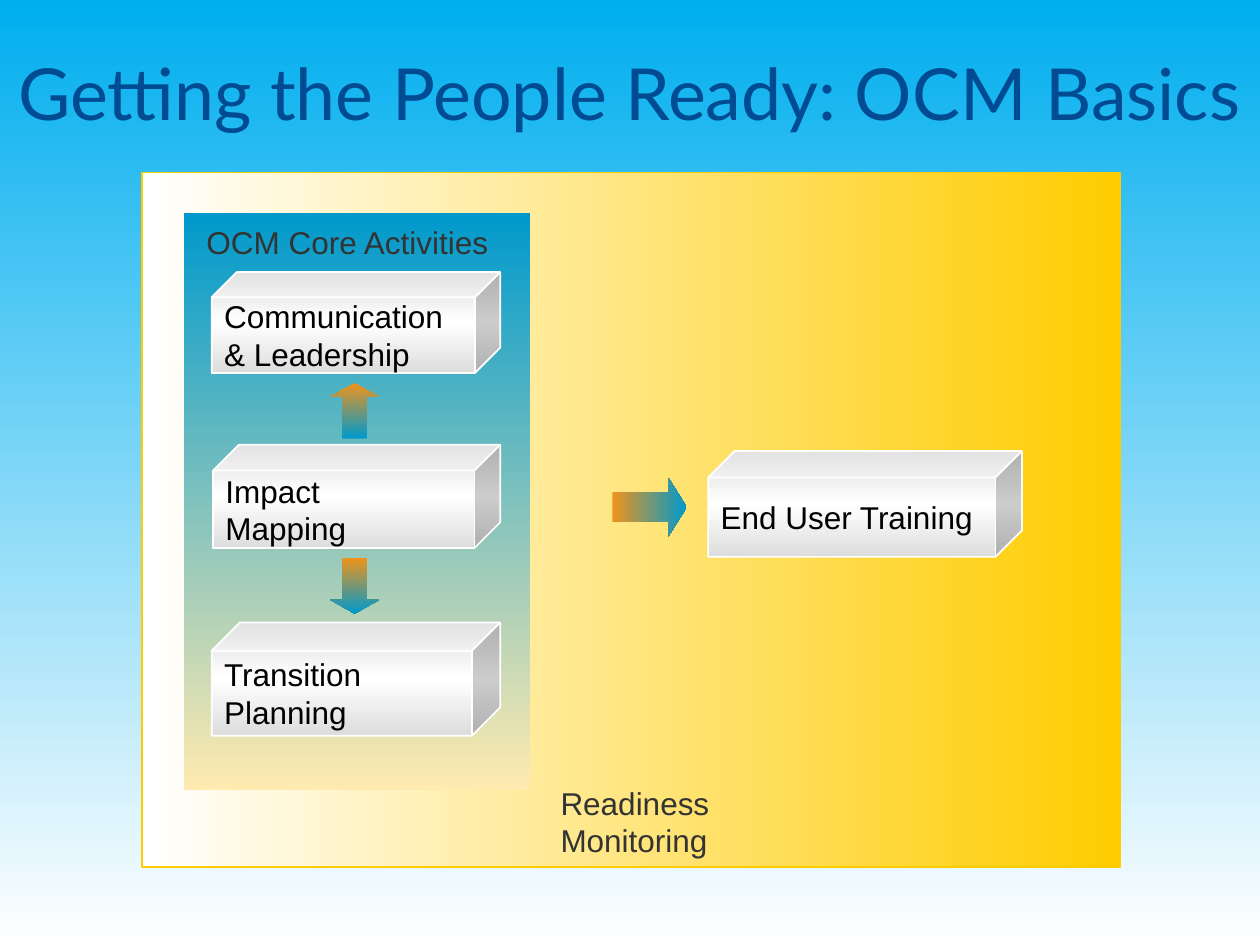
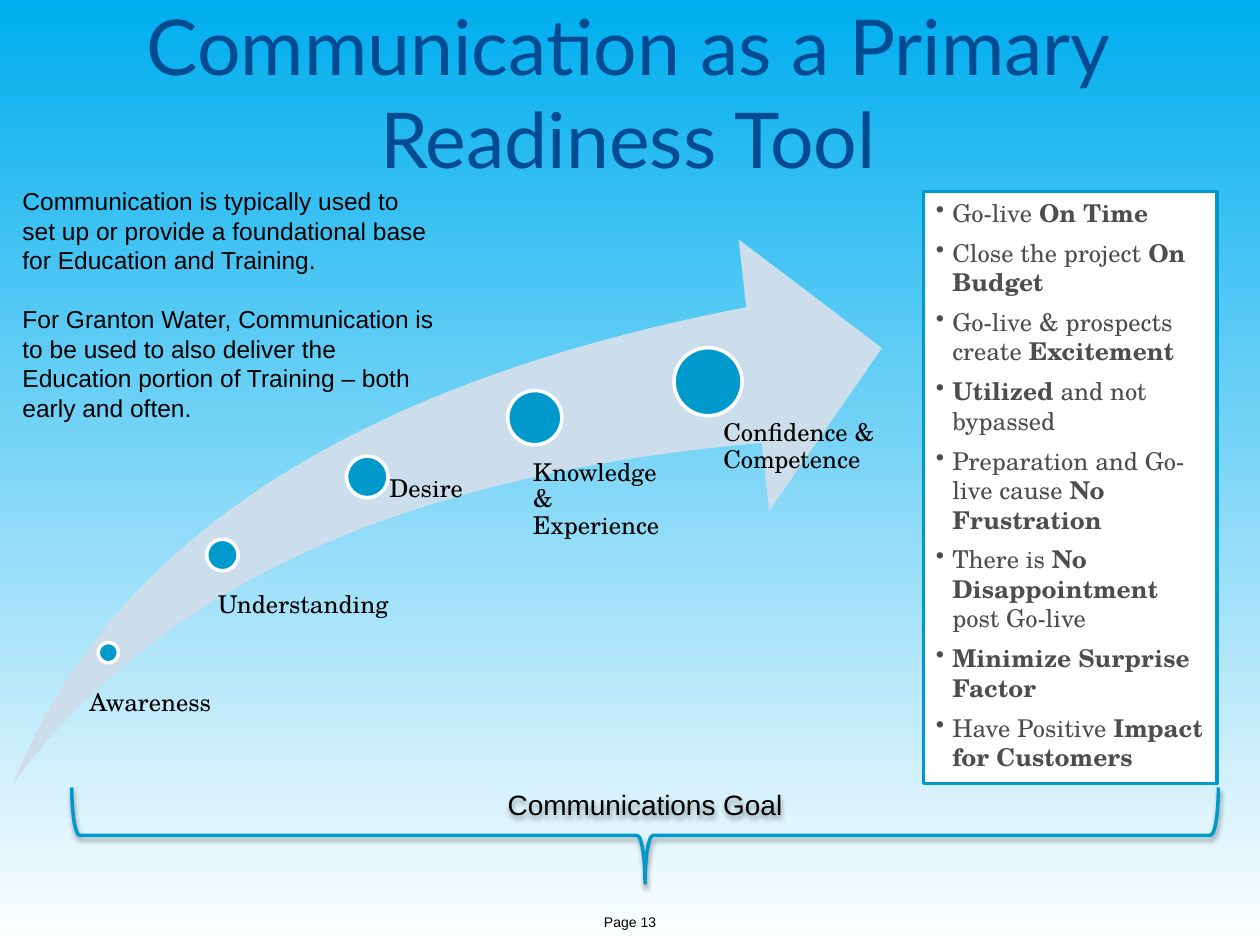
import copy
from dataclasses import dataclass

import pptx
import pptx.dml.color
import pptx.enum.shapes
import pptx.enum.text
import pptx.oxml
import pptx.oxml.ns
import pptx.util
from pptx.util import Inches

SHAPE = pptx.enum.shapes.MSO_SHAPE
ALIGN = pptx.enum.text.PP_ALIGN
ANCHOR = pptx.enum.text.MSO_ANCHOR
qn = pptx.oxml.ns.qn

TEXT_INSETS = (0.1, 0.05, 0.1, 0.05)
NO_INSETS = (0, 0, 0, 0)


@dataclass(frozen=True)
class Theme:
    sky: str = "00AEEF"
    white: str = "FFFFFF"
    black: str = "000000"
    navy: str = "004B91"
    blue: str = "0099CC"
    gold: str = "FFCC00"
    cream: str = "FFEAAF"
    orange: str = "EE941C"
    silver: str = "DDDDDD"
    pale_blue: str = "CCDEEC"
    charcoal: str = "333333"
    grey: str = "4D4D4D"
    title_font: str = "Lato"
    body_font: str = "Arial"
    serif_font: str = "TeX Gyre Schola"
    title_size: float = 44
    long_title_size: float = 41
    diagram_size: float = 18
    goal_size: float = 16
    body_size: float = 14
    footer_size: float = 8


def rgb(color):
    return pptx.dml.color.RGBColor.from_string(color)


class SlideBuilder:
    """Draws styled elements on the current slide of a deck."""

    def __init__(self, theme):
        self.theme = theme
        self.deck = pptx.Presentation()
        self.deck.slide_width, self.deck.slide_height = Inches(10), Inches(7.5)
        self.page = None

    def add_page(self, title, left, width, size):
        self.page = self.deck.slides.add_slide(self.deck.slide_layouts[6])
        self.gradient(self.page.background.fill, self.page._element,
                      [self.theme.sky, self.theme.white], 90)
        self.text([title], (left, 0, width, 1.45), size, self.theme.navy,
                  self.theme.title_font, align=ALIGN.CENTER, anchor=ANCHOR.MIDDLE)

    def gradient(self, fill, element, colors, angle):
        """Spread the colours evenly; the angle runs clockwise from left to right."""
        fill.gradient()
        fill.gradient_angle = -angle % 360
        stop_list = element.find(".//" + qn("a:gsLst"))
        for _ in colors[2:]:
            stop_list.append(copy.deepcopy(stop_list[0]))
        for index, (stop, color) in enumerate(zip(fill.gradient_stops, colors)):
            stop.color.rgb = rgb(color)
            stop.position = index / (len(colors) - 1)

    def shape(self, kind, bounds, colors=(), angle=0, line=None, line_width=1,
              adjustments=()):
        """Add a preset shape with no fill, one colour or a gradient."""
        shape = self.page.shapes.add_shape(kind, *map(Inches, bounds))
        shape.shadow.inherit = False
        for index, value in enumerate(adjustments):
            shape.adjustments[index] = value
        if len(colors) > 1:
            self.gradient(shape.fill, shape._element, colors, angle)
        elif colors:
            shape.fill.solid()
            shape.fill.fore_color.rgb = rgb(colors[0])
        else:
            shape.fill.background()
        if line:
            shape.line.color.rgb = rgb(line)
            shape.line.width = pptx.util.Pt(line_width)
        else:
            shape.line.fill.background()
        return shape

    def fill_text(self, shape, lines, size, color, font, align=ALIGN.LEFT,
                  anchor=ANCHOR.TOP, insets=TEXT_INSETS, wrap=True, bullet=None,
                  space_before=0, line_spacing=None):
        """Write one paragraph per line; a line is text or (text, bold) spans."""
        frame = shape.text_frame
        frame.word_wrap = wrap
        frame.vertical_anchor = anchor
        (frame.margin_left, frame.margin_top,
         frame.margin_right, frame.margin_bottom) = map(Inches, insets)
        for index, line in enumerate(lines):
            para = frame.add_paragraph() if index else frame.paragraphs[0]
            if bullet:
                self.add_bullet(para, bullet)
            para.alignment = align
            if index and space_before:
                para.space_before = pptx.util.Pt(space_before)
            if line_spacing:
                para.line_spacing = line_spacing
            para.font.name = font
            para.font.size = pptx.util.Pt(size)
            para.font.color.rgb = rgb(color)
            for words, bold in [(line, False)] if isinstance(line, str) else line:
                span = para.add_run()
                span.text = words
                if bold:
                    span.font.bold = True

    def add_bullet(self, para, symbol):
        properties = para._p.get_or_add_pPr()
        properties.set("marL", str(Inches(0.13)))
        properties.set("indent", str(-Inches(0.13)))
        mark = properties.makeelement(qn("a:buChar"), {"char": symbol})
        properties.append(mark)

    def text(self, lines, bounds, size, color, font, **options):
        box = self.page.shapes.add_textbox(*map(Inches, bounds))
        self.fill_text(box, lines, size, color, font, **options)

    def cube(self, lines, bounds):
        theme = self.theme
        cube = self.shape(SHAPE.CUBE, bounds, [theme.silver, theme.white, theme.silver],
                          90, theme.white, adjustments=[0.25])
        self.fill_text(cube, lines, theme.diagram_size, theme.black, theme.body_font,
                       anchor=ANCHOR.MIDDLE)

    def arrow(self, kind, bounds, angle, head):
        self.shape(kind, bounds, [self.theme.orange, self.theme.blue], angle,
                   adjustments=[0.5, head])

    def caption(self, words, left, top):
        self.text([words], (left, top, 2.61, 0.37), self.theme.diagram_size,
                  self.theme.charcoal, self.theme.body_font)

    def milestone(self, words, dot, label):
        """Add a round marker (left, top, diameter) and its label (left, top, width)."""
        theme = self.theme
        left, top, diameter = dot
        self.shape(SHAPE.OVAL, (left, top, diameter, diameter), [theme.blue],
                   line=theme.white, line_width=2)
        self.text([words], (*label, 0.7), theme.body_size, theme.black,
                  theme.serif_font, insets=NO_INSETS, line_spacing=0.9)

    def brace(self, words, bounds):
        """Add a downward brace, its words upright and centred."""
        theme = self.theme
        brace = self.shape(SHAPE.LEFT_BRACE, bounds, line=theme.blue, line_width=2)
        brace.rotation = 270
        effects = brace._element.spPr.find(qn("a:effectLst"))
        effects.append(pptx.oxml.parse_xml(
            '<a:outerShdw xmlns:a="http://schemas.openxmlformats.org/drawingml/2006/main"'
            ' blurRad="39370" dist="20320" dir="5400000" rotWithShape="0">'
            f'<a:srgbClr val="{theme.black}"><a:alpha val="38000"/></a:srgbClr>'
            '</a:outerShdw>'))
        self.fill_text(brace, [words], theme.goal_size, theme.black, theme.body_font,
                       align=ALIGN.CENTER, anchor=ANCHOR.MIDDLE, wrap=False)
        brace.text_frame._txBody.bodyPr.set("vert", "vert")


def build_basics(builder):
    theme = builder.theme
    builder.add_page("Getting the People Ready: OCM Basics", 0, 10, theme.long_title_size)
    builder.shape(SHAPE.RECTANGLE, (1.13, 1.37, 7.76, 5.51), [theme.white, theme.gold],
                  0, theme.gold)
    builder.shape(SHAPE.RECTANGLE, (1.46, 1.69, 2.75, 4.58), [theme.blue, theme.cream], 90)
    for lines, bounds in [
        (["Transition", "Planning"], (1.68, 4.94, 2.29, 0.9)),
        (["Communication", "& Leadership"], (1.68, 2.16, 2.29, 0.8)),
        (["Impact", "Mapping"], (1.69, 3.53, 2.28, 0.82)),
        (["End User Training"], (5.62, 3.58, 2.49, 0.84)),
    ]:
        builder.cube(lines, bounds)
    builder.arrow(SHAPE.RIGHT_ARROW, (4.86, 3.79, 0.59, 0.47), 0, 0.31)
    builder.arrow(SHAPE.UP_ARROW, (2.62, 3.04, 0.39, 0.44), 90, 0.28)
    builder.arrow(SHAPE.DOWN_ARROW, (2.62, 4.43, 0.39, 0.44), 90, 0.28)
    builder.caption("OCM Core Activities", 1.54, 1.72)
    builder.caption("Readiness Monitoring", 4.35, 6.17)


def build_communication(builder):
    theme = builder.theme
    builder.add_page("Communication as a Primary Readiness Tool", 0.33, 9.31,
                     theme.title_size)
    builder.shape(SHAPE.SWOOSH_ARROW, (0.11, 1.9, 6.89, 4.31), [theme.pale_blue],
                  adjustments=[0.25, 0.25])
    for words, dot, label in [
        ("Awareness", (0.78, 5.1, 0.16), (0.71, 5.48, 1.29)),
        ("Understanding", (1.64, 4.28, 0.25), (1.73, 4.7, 1.5)),
        ("Desire", (2.75, 3.62, 0.33), (3.09, 3.78, 1.15)),
        ("Knowledge & Experience", (4.03, 3.1, 0.43), (4.23, 3.65, 1.15)),
        ("Confidence & Competence", (5.35, 2.76, 0.54), (5.74, 3.34, 1.42)),
    ]:
        builder.milestone(words, dot, label)
    builder.brace("Communications Goal", (4.74, 2.08, 0.76, 9.1))

    goals = [
        [("Go-live ", False), ("On Time", True)],
        [("Close the project ", False), ("On Budget", True)],
        [("Go-live & prospects create ", False), ("Excitement", True)],
        [("Utilized", True), (" and not bypassed", False)],
        [("Preparation and Go-live cause ", False), ("No Frustration", True)],
        [("There is ", False), ("No Disappointment ", True), ("post Go-live", False)],
        [("Minimize Surprise Factor", True)],
        [("Have Positive ", False), ("Impact for Customers", True)],
    ]
    panel = builder.shape(SHAPE.RECTANGLE, (7.33, 1.52, 2.33, 4.7), [theme.white],
                          line=theme.blue, line_width=2)
    builder.fill_text(panel, goals, theme.body_size, theme.grey, theme.serif_font,
                      bullet="•", space_before=6)
    builder.text(
        ["Communication is typically used to set up or provide a foundational base "
         "for Education and Training.",
         "For Granton Water, Communication is to be used to also deliver the "
         "Education portion of Training – both early and often."],
        (0.08, 1.43, 3.5, 1.57), theme.body_size, theme.black, theme.body_font,
        space_before=17)
    builder.text(["Page 13"], (4.78, 7.25, 0.43, 0.13), theme.footer_size, theme.black,
                 theme.body_font, align=ALIGN.RIGHT, anchor=ANCHOR.MIDDLE,
                 insets=NO_INSETS, wrap=False)


def main():
    builder = SlideBuilder(Theme())
    build_basics(builder)
    build_communication(builder)
    builder.deck.save("out.pptx")


if __name__ == "__main__":
    main()
